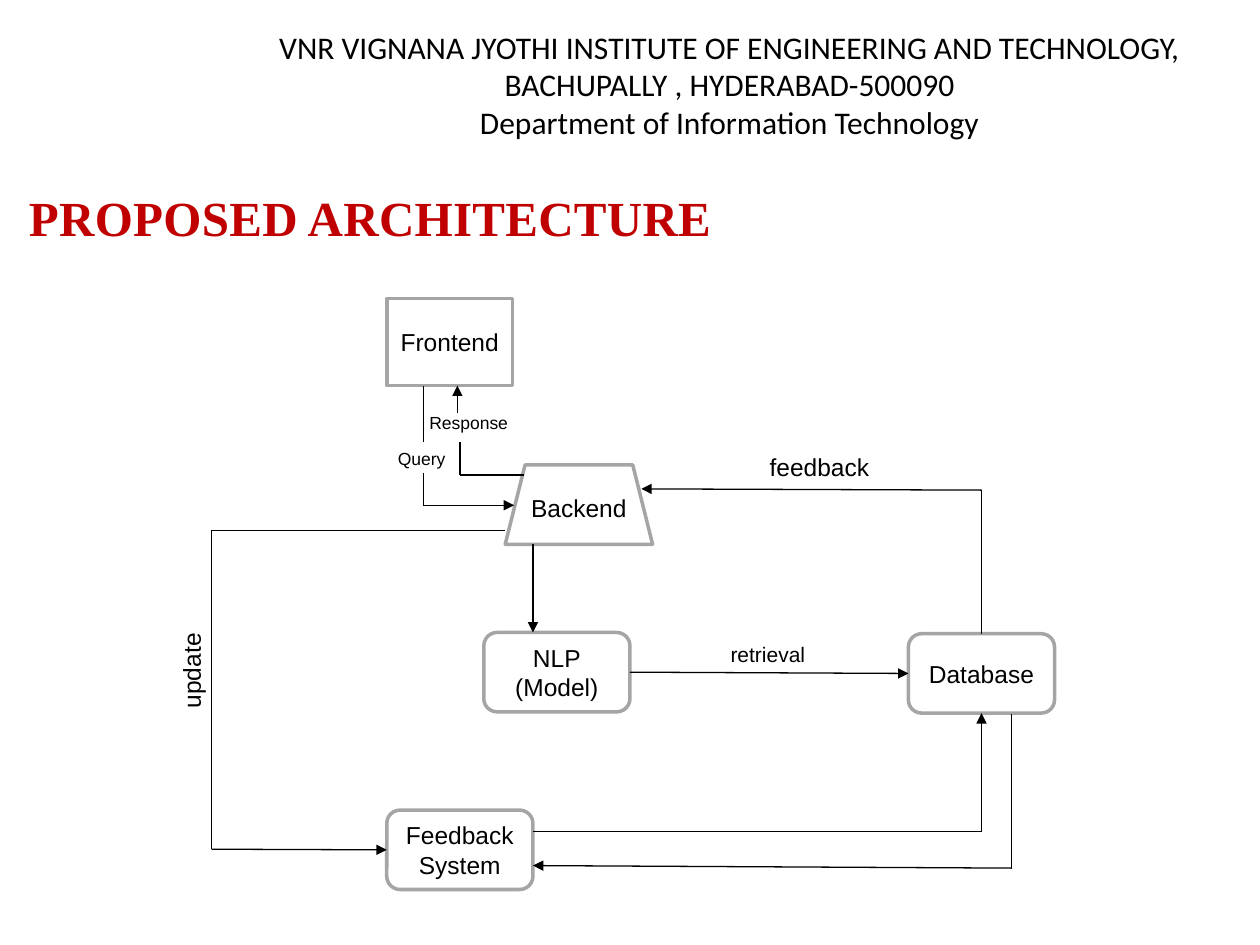
from dataclasses import dataclass
from itertools import pairwise

from lxml.etree import SubElement
from pptx import Presentation
from pptx.dml.color import RGBColor
from pptx.enum.shapes import MSO_CONNECTOR, MSO_SHAPE
from pptx.enum.text import MSO_ANCHOR, MSO_AUTO_SIZE, PP_ALIGN
from pptx.oxml.ns import qn
from pptx.util import Inches, Pt


@dataclass(frozen=True)
class Theme:
    black: RGBColor = RGBColor(0x00, 0x00, 0x00)
    white: RGBColor = RGBColor(0xFF, 0xFF, 0xFF)
    outline: RGBColor = RGBColor(0xA5, 0xA5, 0xA5)
    heading: RGBColor = RGBColor(0xC0, 0x00, 0x00)
    header_font: str = "Calibri"
    title_font: str = "Times New Roman"
    diagram_font: str = "Arial"
    header_size: int = 18
    title_size: int = 28
    node_size: int = 14
    outline_width: float = 2
    arrow_width: float = 0.75


THEME = Theme()
TOP, LEFT, BOTTOM, RIGHT = range(4)

HEADER = (
    "VNR VIGNANA JYOTHI INSTITUTE OF ENGINEERING AND TECHNOLOGY, "
    "BACHUPALLY , HYDERABAD-500090\nDepartment of Information Technology"
)
HEADER_BOX = (1.75, 0.17, 8.08, 1.01)
TITLE = "PROPOSED ARCHITECTURE"
TITLE_BOX = (0.13, 1.07, 8.62, 1.3)

NODES = {
    "frontend": ("Frontend", MSO_SHAPE.RECTANGLE, (3.07, 2.37, 1, 0.69)),
    "backend": ("Backend", MSO_SHAPE.TRAPEZOID, (4.01, 3.69, 1.17, 0.63)),
    "model": ("NLP\n(Model)", MSO_SHAPE.ROUNDED_RECTANGLE, (3.84, 5.02, 1.16, 0.63)),
    "database": ("Database", MSO_SHAPE.ROUNDED_RECTANGLE, (7.21, 5.03, 1.16, 0.63)),
    "feedback": ("Feedback System", MSO_SHAPE.ROUNDED_RECTANGLE, (3.07, 6.43, 1.16, 0.63)),
}

# (points, arrow at end, joined start, joined end)
ROUTES = [
    ([(3.36, 3.06), (3.36, 3.51)], False, None, None),
    ([(3.36, 3.75), (3.36, 4.01), (4.08, 4.01)], True, None, None),
    ([(4.16, 3.77), (3.65, 3.77), (3.65, 3.51)], False, None, None),
    ([(3.63, 3.28), (3.63, 3.06)], True, None, None),
    ([(4.23, 4.32), (4.23, 5.02)], True, None, None),
    ([(5, 5.35), (7.21, 5.35)], True, ("model", RIGHT), ("database", LEFT)),
    ([(7.79, 5.03), (7.79, 3.89), (5.09, 3.88)], True, ("database", TOP), None),
    ([(4.01, 4.21), (1.68, 4.21), (1.68, 6.74), (3.07, 6.74)], True, None, ("feedback", LEFT)),
    ([(4.23, 6.6), (7.79, 6.6), (7.79, 5.66)], True, None, ("database", BOTTOM)),
    ([(8.03, 5.67), (8.03, 6.89), (4.23, 6.87)], True, None, None),
]

LABELS = [
    ("Query", 10, (3.06, 3.51, 0.83, 0.27), 0),
    ("Response", 10, (3.31, 3.22, 0.83, 0.27), 0),
    ("feedback", 14, (6.01, 3.54, 1, 0.34), 0),
    ("update", 14, (1.12, 5.15, 0.8, 0.34), 270),
    ("retrieval", 12, (5.7, 5.04, 0.8, 0.3), 0),
]


def inches(values):
    return [Inches(value) for value in values]


def write(shape, text, font, size, color=THEME.black, align=PP_ALIGN.LEFT, bold=False):
    shape.text_frame.text = text
    for paragraph in shape.text_frame.paragraphs:
        paragraph.alignment = align
        for run in paragraph.runs:
            run.font.name = font
            run.font.size = Pt(size)
            run.font.bold = bold
            run.font.color.rgb = color


def add_label(slide, text, font, size, box, align=PP_ALIGN.LEFT, wrap=False):
    label = slide.shapes.add_textbox(*inches(box))
    label.text_frame.word_wrap = wrap
    write(label, text, font, size, align=align)
    return label


def add_title(slide):
    title = slide.shapes.title
    title.left, title.top, title.width, title.height = inches(TITLE_BOX)
    frame = title.text_frame
    frame.auto_size = MSO_AUTO_SIZE.NONE
    frame.vertical_anchor = MSO_ANCHOR.MIDDLE
    write(title, TITLE, THEME.title_font, THEME.title_size, THEME.heading, PP_ALIGN.JUSTIFY, True)
    frame.paragraphs[0].runs[0].font._element.set("spc", "20")


def add_node(slide, text, kind, box):
    node = slide.shapes.add_shape(kind, *inches(box))
    node.shadow.inherit = False
    node.fill.solid()
    node.fill.fore_color.rgb = THEME.white
    node.line.color.rgb = THEME.outline
    node.line.width = Pt(THEME.outline_width)
    frame = node.text_frame
    frame.word_wrap = True
    frame.vertical_anchor = MSO_ANCHOR.MIDDLE
    frame.margin_left = frame.margin_right = Inches(0.05)
    write(node, text, THEME.diagram_font, THEME.node_size, align=PP_ALIGN.CENTER)
    return node


def add_route(slide, nodes, points, arrow, start, end):
    segments = []
    for first, second in pairwise(points):
        segment = slide.shapes.add_connector(
            MSO_CONNECTOR.STRAIGHT, *inches(first + second)
        )
        segment.line.color.rgb = THEME.black
        segment.line.width = Pt(THEME.arrow_width)
        SubElement(segment._element.spPr, qn("a:effectLst"))
        segments.append(segment)
    if arrow:
        line = segments[-1].line._get_or_add_ln()
        SubElement(line, qn("a:tailEnd"), type="triangle")
    if start:
        name, side = start
        segments[0].begin_connect(nodes[name], side)
    if end:
        name, side = end
        segments[-1].end_connect(nodes[name], side)


def main():
    presentation = Presentation()
    presentation.slide_width, presentation.slide_height = Inches(10), Inches(7.5)
    slide = presentation.slides.add_slide(presentation.slide_layouts[5])
    add_label(slide, HEADER, THEME.header_font, THEME.header_size, HEADER_BOX, PP_ALIGN.CENTER, True)
    add_title(slide)
    nodes = {name: add_node(slide, *node) for name, node in NODES.items()}
    for route in ROUTES:
        add_route(slide, nodes, *route)
    for text, size, box, rotation in LABELS:
        label = add_label(slide, text, THEME.diagram_font, size, box)
        label.rotation = rotation
    presentation.save("out.pptx")


if __name__ == "__main__":
    main()
